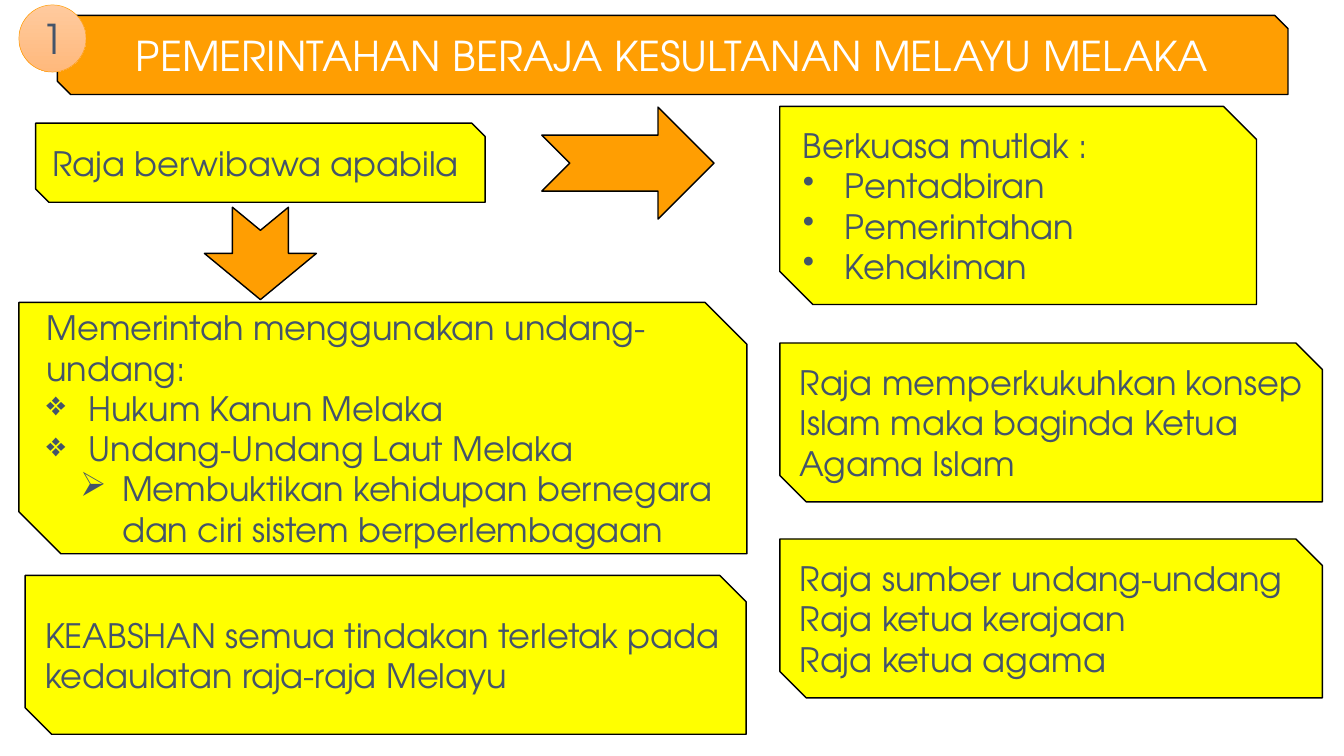
from lxml.etree import SubElement
from pptx import Presentation
from pptx.dml.color import RGBColor
from pptx.enum.shapes import MSO_SHAPE
from pptx.enum.text import MSO_ANCHOR, PP_ALIGN
from pptx.oxml.ns import qn
from pptx.util import Emu, Pt

PX = 9525
FONT = "TeX Gyre Adventor"
ORANGE = RGBColor(0xFF, 0x9E, 0x02)
YELLOW = RGBColor(0xFF, 0xFF, 0x00)
BLACK = RGBColor(0, 0, 0)
WHITE = RGBColor(0xFF, 0xFF, 0xFF)
SLATE = RGBColor(0x44, 0x54, 0x6A)
PEACH = RGBColor(0xFF, 0xCA, 0x9E)
APRICOT = RGBColor(0xFF, 0xB9, 0x7C)
HANG = 60
LEVELS = {"•": (0, 60), "❖": (0, 60), "➢": (1, 108)}


def px(num):
    """Turn px into EMU."""
    return Emu(num * PX)


def add_shape(slide, kind, box, fill=YELLOW, line=BLACK, width=1.5):
    """Add a preset shape with a plain fill and outline."""
    shape = slide.shapes.add_shape(kind, *map(px, box))
    shape.shadow.inherit = False
    shape.fill.solid()
    shape.fill.fore_color.rgb = fill
    shape.line.color.rgb = line
    shape.line.width = Pt(width)
    return shape


def add_bullet(para, mark):
    """Give a paragraph a hanging bullet."""
    level, left = LEVELS[mark]
    para.level = level
    props = para._p.get_or_add_pPr()
    props.set("marL", str(px(left)))
    props.set("indent", str(px(-HANG)))
    SubElement(props, qn("a:buChar")).set("char", mark)


def write(shape, lines, size=36, color=SLATE, align=PP_ALIGN.LEFT):
    """Write lines, each a string or a (bullet, string) pair."""
    frame = shape.text_frame
    frame.word_wrap = True
    frame.vertical_anchor = MSO_ANCHOR.MIDDLE
    for index, line in enumerate(lines):
        para = frame.add_paragraph() if index else frame.paragraphs[0]
        mark, text = line if isinstance(line, tuple) else (None, line)
        para.alignment = align
        if mark:
            add_bullet(para, mark)
        run = para.add_run()
        run.text = text
        run.font.name = FONT
        run.font.size = Pt(size)
        run.font.color.rgb = color


def add_card(slide, box, lines, fill=YELLOW, **style):
    """Add a box with two snipped corners and its text."""
    write(add_shape(slide, MSO_SHAPE.SNIP_2_DIAG_RECTANGLE, box, fill), lines, **style)


def add_arrow(slide, box, turn=0):
    """Add a notched arrow, turned clockwise."""
    add_shape(slide, MSO_SHAPE.NOTCHED_RIGHT_ARROW, box, ORANGE).rotation = turn


def add_badge(slide, box, text):
    """Add a round number badge with a gradient."""
    badge = add_shape(slide, MSO_SHAPE.OVAL, box, PEACH, ORANGE, 0.5)
    badge.fill.gradient()
    badge.fill.gradient_angle = 270
    for stop, color in zip(badge.fill.gradient_stops, (PEACH, APRICOT)):
        stop.color.rgb = color
    write(badge, [text], size=44, align=PP_ALIGN.CENTER)


def main():
    """Build the slide and save it."""
    deck = Presentation()
    deck.slide_width, deck.slide_height = px(1920), px(1080)
    slide = deck.slides.add_slide(deck.slide_layouts[6])
    add_card(slide, (82, 22, 1758, 113),
             ["PEMERINTAHAN BERAJA KESULTANAN MELAYU MELAKA"],
             fill=ORANGE, size=44, color=WHITE, align=PP_ALIGN.CENTER)
    add_card(slide, (51, 176, 642, 113), ["Raja berwibawa apabila "],
             align=PP_ALIGN.CENTER)
    add_card(slide, (27, 432, 1040, 359), [
        "Memerintah menggunakan undang-undang:",
        ("❖", "Hukum Kanun Melaka"),
        ("❖", "Undang-Undang Laut Melaka"),
        ("➢", "Membuktikan kehidupan bernegara dan ciri sistem berperlembagaan")])
    add_card(slide, (36, 822, 1030, 227), [
        "KEABSHAN semua tindakan terletak pada kedaulatan raja-raja Melayu"])
    add_card(slide, (1114, 152, 681, 283), [
        "Berkuasa mutlak :",
        ("•", "Pentadbiran"), ("•", "Pemerintahan"), ("•", "Kehakiman")])
    add_card(slide, (1114, 490, 775, 227), [
        "Raja memperkukuhkan konsep Islam maka baginda Ketua Agama Islam"])
    add_card(slide, (1114, 770, 775, 227), [
        "Raja sumber undang-undang", "Raja ketua kerajaan", "Raja ketua agama"])
    add_arrow(slide, (774, 153, 246, 160))
    add_arrow(slide, (306, 282, 132, 160), turn=90)
    add_badge(slide, (27, 7, 96, 96), "1")
    deck.save("out.pptx")


if __name__ == "__main__":
    main()
